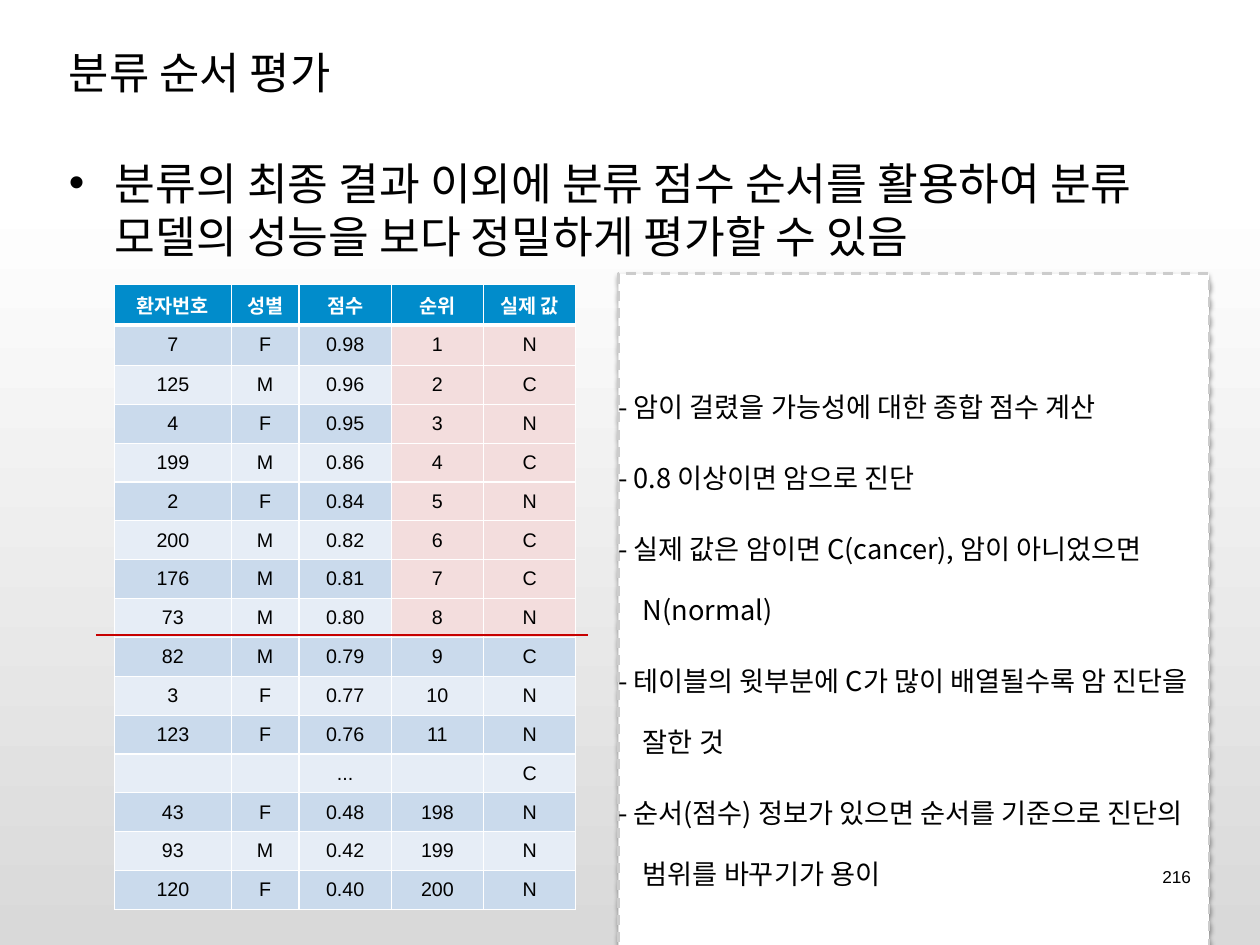
from lxml import etree
from pptx import Presentation
from pptx.dml.color import RGBColor
from pptx.enum.dml import MSO_LINE
from pptx.enum.shapes import MSO_CONNECTOR, MSO_SHAPE
from pptx.enum.text import MSO_ANCHOR, PP_ALIGN
from pptx.oxml.ns import qn
from pptx.util import Pt

BLACK = RGBColor(0x00, 0x00, 0x00)
WHITE = RGBColor(0xFF, 0xFF, 0xFF)
GREY = RGBColor(0xD9, 0xD9, 0xD9)
DASH_GREY = RGBColor(0xCC, 0xCC, 0xCC)
HEADER_BLUE = RGBColor(0x01, 0x8C, 0xCB)
BAND_DARK = RGBColor(0xCA, 0xDA, 0xEC)
BAND_LIGHT = RGBColor(0xE6, 0xED, 0xF6)
DIAGNOSED_PINK = RGBColor(0xF3, 0xDD, 0xDD)
CUTOFF_RED = RGBColor(0xC7, 0x00, 0x00)

LEFT, CENTER, RIGHT = PP_ALIGN.LEFT, PP_ALIGN.CENTER, PP_ALIGN.RIGHT
TOP, MIDDLE = MSO_ANCHOR.TOP, MSO_ANCHOR.MIDDLE
LATIN, KOREAN = "Arial", "Noto Sans CJK KR"

HEADINGS = ["환자번호", "성별", "점수", "순위", "실제 값"]
PATIENTS = [
    ["7", "F", "0.98", "1", "N"],
    ["125", "M", "0.96", "2", "C"],
    ["4", "F", "0.95", "3", "N"],
    ["199", "M", "0.86", "4", "C"],
    ["2", "F", "0.84", "5", "N"],
    ["200", "M", "0.82", "6", "C"],
    ["176", "M", "0.81", "7", "C"],
    ["73", "M", "0.80", "8", "N"],
    ["82", "M", "0.79", "9", "C"],
    ["3", "F", "0.77", "10", "N"],
    ["123", "F", "0.76", "11", "N"],
    ["", "", "...", "", "C"],
    ["43", "F", "0.48", "198", "N"],
    ["93", "M", "0.42", "199", "N"],
    ["120", "F", "0.40", "200", "N"],
]
DIAGNOSED_ROWS = 8
RANK_COLUMN = 3
COLUMN_WIDTHS = [95, 55, 75, 75, 75]
ROW_HEIGHTS = [33, 33] + [31.6] * 14
NOTES = [
    "- 암이 걸렸을 가능성에 대한 종합 점수 계산",
    "- 0.8 이상이면 암으로 진단",
    "- 실제 값은 암이면 C(cancer), 암이 아니었으면 N(normal)",
    "- 테이블의 윗부분에 C가 많이 배열될수록 암 진단을 잘한 것",
    "- 순서(점수) 정보가 있으면 순서를 기준으로 진단의 범위를 바꾸기가 용이",
]


def cell_fill(row, column):
    if row == 0:
        return HEADER_BLUE
    if row <= DIAGNOSED_ROWS and column >= RANK_COLUMN:
        return DIAGNOSED_PINK
    return BAND_DARK if row % 2 else BAND_LIGHT


class SlideBuilder:
    def __init__(self, slide):
        self.slide = slide
        self.shapes = slide.shapes

    def background(self):
        fill = self.slide.background.fill
        fill.gradient()
        fill.gradient_angle = 270
        for stop, position, color in zip(fill.gradient_stops, (0.2, 1), (WHITE, GREY)):
            stop.position = position
            stop.color.rgb = color

    def style_runs(self, paragraph, size, font, color=BLACK, bold=False, baseline=None):
        for run in paragraph.runs:
            run.font.name = font
            run.font.size = Pt(size)
            run.font.bold = bold
            run.font.color.rgb = color
            properties = run._r.get_or_add_rPr()
            etree.SubElement(properties, qn("a:ea"), typeface=KOREAN)
            if baseline:
                properties.set("baseline", str(baseline * 1000))

    def text(self, box, lines, size, font, margins=(5, 5), anchor=TOP, align=LEFT,
             wrap=True, indent=0, bullet=None, spacing=None, baseline=None):
        """Place paragraphs; margins are (top, other sides)."""
        frame = self.shapes.add_textbox(*map(Pt, box)).text_frame
        frame.word_wrap = wrap
        frame.vertical_anchor = anchor
        frame.margin_top = Pt(margins[0])
        frame.margin_left = frame.margin_right = frame.margin_bottom = Pt(margins[1])
        frame.text = "\n".join(lines)
        for index, paragraph in enumerate(frame.paragraphs):
            paragraph.alignment = align
            if spacing:
                paragraph.line_spacing = Pt(spacing)
            if index:
                paragraph.space_before = Pt(8)
            if indent:
                properties = paragraph._p.get_or_add_pPr()
                properties.set("marL", str(Pt(indent)))
                properties.set("indent", str(-Pt(indent)))
                if bullet:
                    etree.SubElement(properties, qn("a:buFont"), typeface=LATIN)
                    etree.SubElement(properties, qn("a:buChar"), char=bullet)
            self.style_runs(paragraph, size, font, baseline=baseline)

    def borders(self, cell, row):
        properties = cell._tc.get_or_add_tcPr()
        widths = {"L": 1, "R": 1, "T": 4 if row == 1 else 1, "B": 4 if row == 0 else 1}
        for side, width in widths.items():
            line = etree.SubElement(properties, qn(f"a:ln{side}"), w=str(Pt(width)))
            fill = etree.SubElement(line, qn("a:solidFill"))
            etree.SubElement(fill, qn("a:srgbClr"), val=str(WHITE))

    def table(self, left, top, rows):
        table = self.shapes.add_table(
            len(rows), len(COLUMN_WIDTHS), Pt(left), Pt(top),
            Pt(sum(COLUMN_WIDTHS)), Pt(sum(ROW_HEIGHTS))).table
        for column, width in zip(table.columns, COLUMN_WIDTHS):
            column.width = Pt(width)
        for row, height in zip(table.rows, ROW_HEIGHTS):
            row.height = Pt(height)
        for r, values in enumerate(rows):
            for c, value in enumerate(values):
                cell = table.cell(r, c)
                cell.margin_left = cell.margin_right = Pt(1.5)
                cell.margin_top = cell.margin_bottom = Pt(1.5)
                cell.vertical_anchor = MIDDLE
                self.borders(cell, r)
                cell.fill.solid()
                cell.fill.fore_color.rgb = cell_fill(r, c)
                cell.text_frame.text = value
                paragraph = cell.text_frame.paragraphs[0]
                paragraph.alignment = CENTER
                self.style_runs(paragraph, 16, LATIN, BLACK if r else WHITE, r == 0)

    def shadowed_panel(self, box):
        panel = self.shapes.add_shape(MSO_SHAPE.RECTANGLE, *map(Pt, box))
        panel.shadow.inherit = False
        panel.fill.solid()
        panel.fill.fore_color.rgb = WHITE
        panel.line.color.rgb = DASH_GREY
        panel.line.width = Pt(2)
        panel.line.dash_style = MSO_LINE.DASH
        effects = panel._element.spPr.find(qn("a:effectLst"))
        shadow = etree.SubElement(effects, qn("a:outerShdw"), blurRad=str(Pt(4)),
                                  dist=str(Pt(2)), dir="5400000", rotWithShape="0")
        color = etree.SubElement(shadow, qn("a:srgbClr"), val=str(BLACK))
        etree.SubElement(color, qn("a:alpha"), val="38000")

    def rule(self, x1, x2, y, color, width):
        line = self.shapes.add_connector(
            MSO_CONNECTOR.STRAIGHT, Pt(x1), Pt(y), Pt(x2), Pt(y))
        line.line.color.rgb = color
        line.line.width = Pt(width)
        etree.SubElement(line._element.spPr, qn("a:effectLst"))


def main():
    presentation = Presentation()
    presentation.slide_width, presentation.slide_height = Pt(1024), Pt(768)
    builder = SlideBuilder(presentation.slides.add_slide(presentation.slide_layouts[6]))

    builder.background()
    builder.text((51, 31, 922, 55), ["분류 순서 평가"], 35.6, KOREAN, anchor=MIDDLE)
    builder.text(
        (51, 118, 922, 568),
        ["분류의 최종 결과 이외에 분류 점수 순서를 활용하여 분류 모델의 성능을 보다 정밀하게 평가할 수 있음"],
        36, LATIN, margins=(9, 5), indent=37.5, bullet="•", spacing=43)
    builder.table(93, 231, [HEADINGS] + PATIENTS)
    builder.shadowed_panel((502.5, 222.5, 480, 571))
    builder.text((502.5, 132, 480, 753), NOTES, 38, KOREAN, margins=(0, 0),
                 anchor=MIDDLE, indent=20, spacing=49.6, baseline=-20)
    builder.rule(78, 478, 516, CUTOFF_RED, 2)
    builder.text((938, 699, 35, 26), ["216"], 14, LATIN, align=RIGHT, wrap=False)

    presentation.save("out.pptx")


if __name__ == "__main__":
    main()
